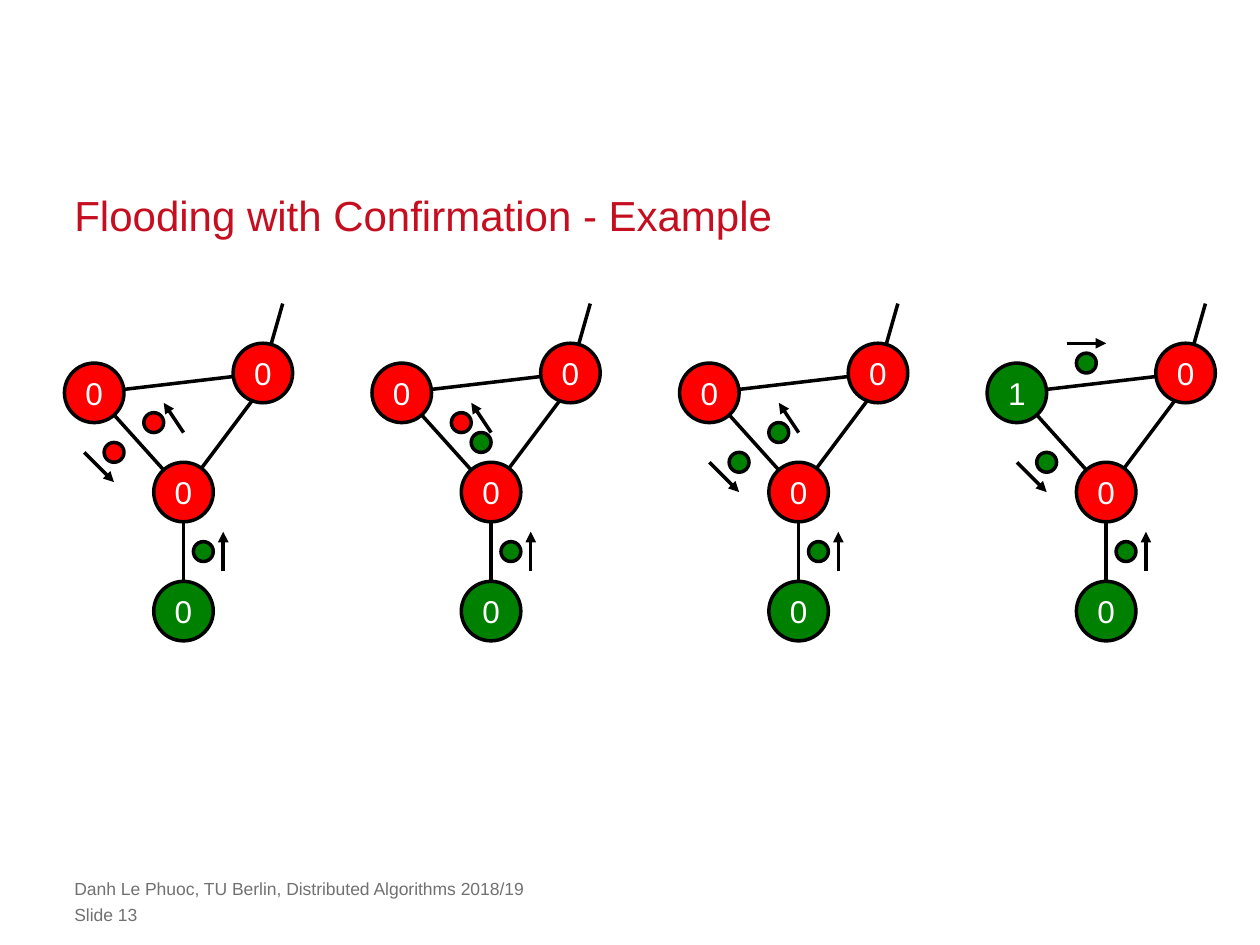
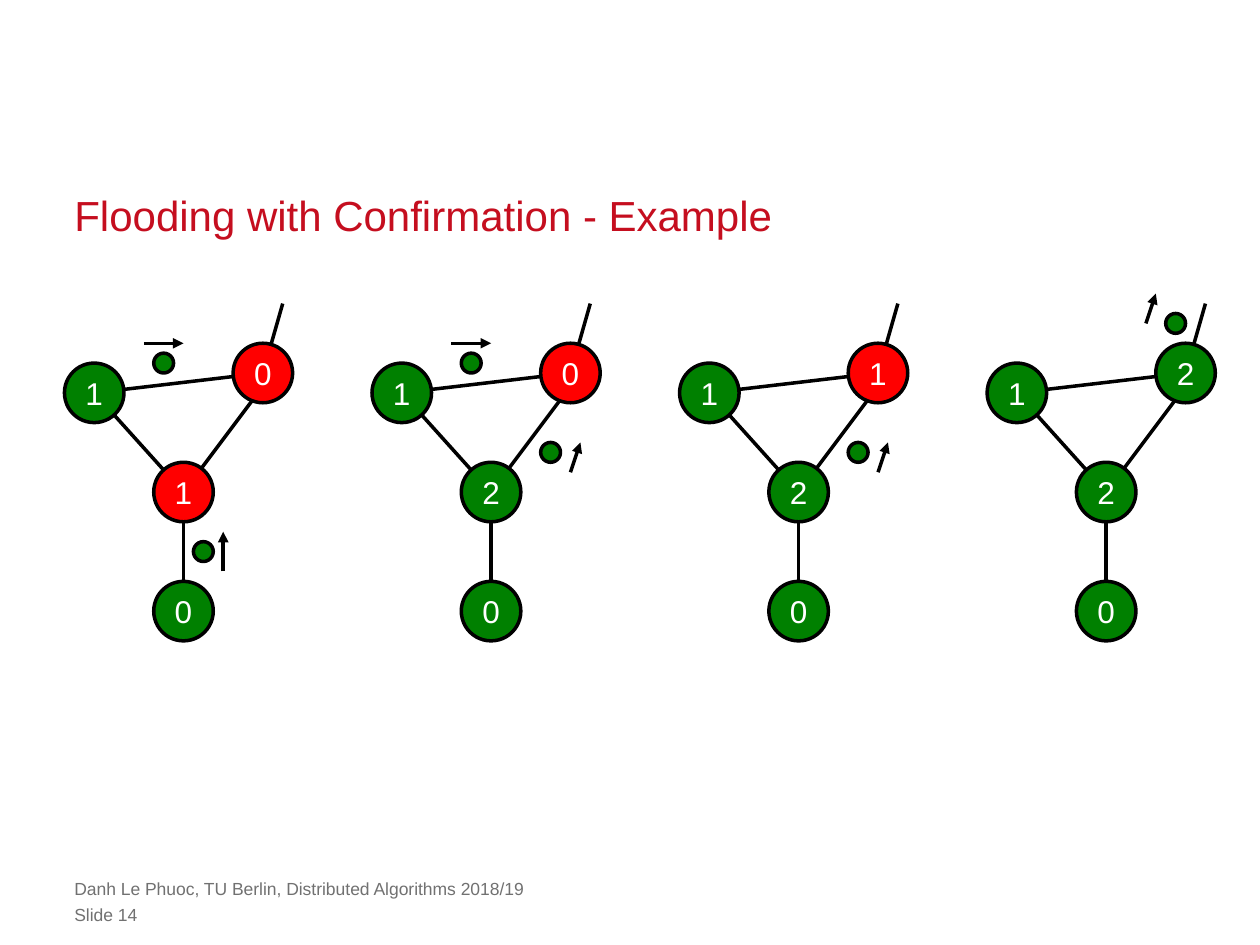
import dataclasses

import lxml.etree
import pptx
import pptx.dml.color
import pptx.enum.shapes
import pptx.enum.text
import pptx.oxml.ns
import pptx.util

Cm = pptx.util.Cm
Pt = pptx.util.Pt
qn = pptx.oxml.ns.qn
rgb = pptx.dml.color.RGBColor.from_string


@dataclasses.dataclass(frozen=True)
class Theme:
    font: str = "Arial"
    title: str = "C50E1F"
    footer: str = "717171"
    ink: str = "000000"
    label: str = "FFFFFF"
    red: str = "FF0000"
    green: str = "008000"
    title_size: int = 24
    label_size: int = 18
    footer_size: int = 10
    line_width: int = 2


theme = Theme()
RED, GREEN = theme.red, theme.green


def write(frame, text, size, color, align="LEFT", anchor="TOP", wrap=True, spacing=None):
    frame.margin_left = frame.margin_right = frame.margin_top = frame.margin_bottom = 0
    frame.word_wrap = wrap
    frame.vertical_anchor = getattr(pptx.enum.text.MSO_ANCHOR, anchor)
    paragraph = frame.paragraphs[0]
    paragraph.alignment = getattr(pptx.enum.text.PP_ALIGN, align)
    if spacing:
        paragraph.line_spacing = Pt(spacing)
    run = paragraph.add_run()
    run.text = text
    run.font.name = theme.font
    run.font.size = Pt(size)
    run.font.color.rgb = rgb(color)


# Graph geometry in cm, measured from each panel's origin
ORIGIN_X, ORIGIN_Y, PANEL_STEP = 1.9, 6.12, 6.2
NODE_SIZE, MESSAGE_SIZE = 1.2, 0.4
RIGHT, LEFT, MIDDLE, BOTTOM = (3.4, 1.4), (0, 1.8), (1.8, 3.8), (1.8, 6.2)
NODES = [RIGHT, LEFT, MIDDLE, BOTTOM]
EDGES = [(RIGHT, (3.8, 0)), (BOTTOM, MIDDLE), (LEFT, RIGHT),
         (MIDDLE, (3.6, 1.4)), (MIDDLE, LEFT)]

# Arrows showing where messages travel: start, end
FROM_BOTTOM = ((2.6, 5.4), (2.6, 4.6))
TO_LEFT = ((1.8, 2.6), (1.4, 2.0))
TO_MIDDLE_EARLY = ((-0.2, 3.0), (0.4, 3.6))
TO_MIDDLE = ((0, 3.2), (0.6, 3.8))
LEFT_TO_RIGHT = ((1.0, 0.8), (1.8, 0.8))
MIDDLE_TO_RIGHT = ((3.4, 3.4), (3.6, 2.8))
OUTWARD = ((2.6, 0.4), (2.8, -0.2))

# Messages that recur: centre, colour
CONFIRM_BOTTOM = ((2.2, 5.0), GREEN)
EXPLORE_LEFT = ((1.2, 2.4), RED)
CONFIRM_MIDDLE = ((0.6, 3.2), GREEN)
CONFIRM_ACROSS = ((1.4, 1.2), GREEN)
CONFIRM_RIGHT = ((3.0, 3.0), GREEN)

# Panels: counts and colours in the order of NODES, then arrows and messages
WAITING = [RED, RED, RED, GREEN]
LEFT_DONE = [RED, GREEN, RED, GREEN]
MIDDLE_DONE = [RED, GREEN, GREEN, GREEN]
slides = {
    13: [
        ("0000", WAITING, [FROM_BOTTOM, TO_LEFT, TO_MIDDLE_EARLY],
         [CONFIRM_BOTTOM, EXPLORE_LEFT, ((0.4, 3.0), RED)]),
        ("0000", WAITING, [FROM_BOTTOM, TO_LEFT],
         [CONFIRM_BOTTOM, EXPLORE_LEFT, ((1.6, 2.8), GREEN)]),
        ("0000", WAITING, [FROM_BOTTOM, TO_LEFT, TO_MIDDLE],
         [CONFIRM_BOTTOM, ((1.4, 2.6), GREEN), CONFIRM_MIDDLE]),
        ("0100", LEFT_DONE, [FROM_BOTTOM, LEFT_TO_RIGHT, TO_MIDDLE],
         [CONFIRM_BOTTOM, CONFIRM_ACROSS, CONFIRM_MIDDLE]),
    ],
    14: [
        ("0110", LEFT_DONE, [FROM_BOTTOM, LEFT_TO_RIGHT], [CONFIRM_BOTTOM, CONFIRM_ACROSS]),
        ("0120", MIDDLE_DONE, [MIDDLE_TO_RIGHT, LEFT_TO_RIGHT],
         [CONFIRM_RIGHT, CONFIRM_ACROSS]),
        ("1120", MIDDLE_DONE, [MIDDLE_TO_RIGHT], [CONFIRM_RIGHT]),
        ("2120", [GREEN] * 4, [OUTWARD], [((3.2, 0.4), GREEN)]),
    ],
}

deck = pptx.Presentation()
deck.slide_width, deck.slide_height = Cm(25.4), Cm(19.05)

for number, panels in slides.items():
    slide = deck.slides.add_slide(deck.slide_layouts[6])

    # Title and footer
    heading = slide.shapes.add_textbox(Cm(1.5), Cm(3.76), Cm(22.4), Cm(1.07))
    write(heading.text_frame, "Flooding with Confirmation - Example",
          theme.title_size, theme.title, anchor="BOTTOM", spacing=30)
    for top, text in [(17.7, "Danh Le Phuoc, TU Berlin, Distributed Algorithms 2018/19"),
                      (18.22, f"Slide {number}")]:
        footer = slide.shapes.add_textbox(Cm(1.5), Cm(top), Cm(18.4), Cm(0.43))
        write(footer.text_frame, text, theme.footer_size, theme.footer)

    for index, (counts, colors, arrows, messages) in enumerate(panels):
        panel_x = ORIGIN_X + index * PANEL_STEP

        # Edges, then arrows
        for start, end in EDGES + arrows:
            link = slide.shapes.add_connector(
                pptx.enum.shapes.MSO_CONNECTOR.STRAIGHT,
                Cm(panel_x + start[0]), Cm(ORIGIN_Y + start[1]),
                Cm(panel_x + end[0]), Cm(ORIGIN_Y + end[1]))
            link.line.color.rgb = rgb(theme.ink)
            link.line.width = Pt(theme.line_width)
            if (start, end) in arrows:
                lxml.etree.SubElement(link.line._get_or_add_ln(), qn("a:tailEnd"), type="triangle")
            lxml.etree.SubElement(link._element.spPr, qn("a:effectLst"))

        # Nodes with their counts, then messages
        discs = [(centre, color, NODE_SIZE, count)
                 for centre, color, count in zip(NODES, colors, counts)]
        discs += [(centre, color, MESSAGE_SIZE, "") for centre, color in messages]
        for (x, y), color, size, count in discs:
            disc = slide.shapes.add_shape(
                pptx.enum.shapes.MSO_SHAPE.OVAL,
                Cm(panel_x + x - size / 2), Cm(ORIGIN_Y + y - size / 2), Cm(size), Cm(size))
            disc.shadow.inherit = False
            disc.fill.solid()
            disc.fill.fore_color.rgb = rgb(color)
            disc.line.color.rgb = rgb(theme.ink)
            disc.line.width = Pt(theme.line_width)
            if count:
                write(disc.text_frame, count, theme.label_size, theme.label,
                      align="CENTER", anchor="MIDDLE", wrap=False)

deck.save("out.pptx")
